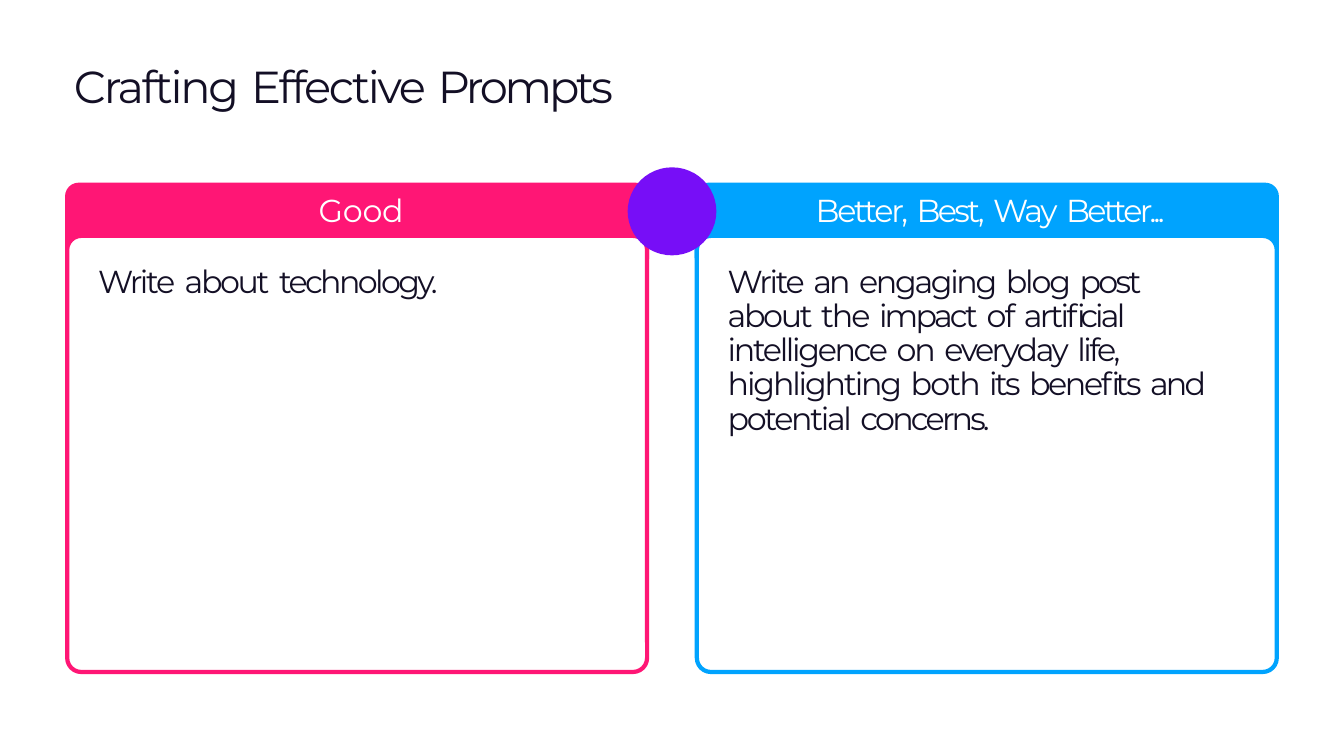
"""Build a slide that compares a good prompt with a better one."""
import pptx
import pptx.dml.color
import pptx.enum.shapes
import pptx.enum.text
import pptx.util

Inches, Pt = pptx.util.Inches, pptx.util.Pt
SHAPE = pptx.enum.shapes.MSO_SHAPE
ALIGN = pptx.enum.text.PP_ALIGN

FONT = "Montserrat"
DARK, WHITE, PURPLE = "130F25", "FFFFFF", "770EF7"
CARD_W, HEAD_TOP, HEAD_H, BODY_TOP, BODY_H = 8.63, 2.75, 1.25, 3.51, 6.49

TITLE = [("Crafting", -2.4), ("Effective", -2.5), ("Prompts", -3.5)]
CARDS = [
    {
        "left": 1, "color": "FF1675", "text_box": (1.45, 2.83, 5.41, 1.65),
        "head": [("Good", -0.2)],
        "head_format": {"margin": 3.29},
        "body": [("Write", -2.5), ("about", -2.5), ("technology.", -2.8)],
        "body_format": {"before": 35.2, "gap": 1.2},
    },
    {
        "left": 10.37, "color": "00A3FE", "text_box": (10.82, 2.83, 7.46, 3.68),
        "head": [("Better,", -2.4), ("Best,", -2.8), ("Way", -2.4), ("Better...", -2.8)],
        "head_format": {"margin": 0.37, "align": ALIGN.CENTER},
        "body": [
            ("Write", -2.5), ("an", -3.1), ("engaging", -2.5), ("blog", -2.3),
            ("post", -2.8), ("about", -2.5), ("the", -2.2), ("impact", -3),
            ("of", -1.9), ("artificial", -2.9), ("intelligence", -2.5), ("on", -2.2),
            ("everyday", -2.6), ("life,", -2.8), ("highlighting", -2.3), ("both", -2),
            ("its", -3), ("benefits", -2.5), ("and", -3), ("potential", -2.5),
            ("concerns.", -3),
        ],
        "body_format": {"before": 39.5, "line": 0.9},
    },
]


def rgb(color):
    return pptx.dml.color.RGBColor.from_string(color)


def add_shape(s, kind, box, fill, line=None, radius=None):
    sp = s.shapes.add_shape(kind, *map(Inches, box))
    sp.shadow.inherit = False
    sp.fill.solid()
    sp.fill.fore_color.rgb = rgb(fill)
    if line:
        sp.line.color.rgb = rgb(line)
        sp.line.width = Pt(4.5)
    else:
        sp.line.fill.background()
    if radius:
        sp.adjustments[0] = radius / min(box[2:])


def add_text_box(s, box):
    tf = s.shapes.add_textbox(*map(Inches, box)).text_frame
    tf.word_wrap = True
    tf.auto_size = pptx.enum.text.MSO_AUTO_SIZE.SHAPE_TO_FIT_TEXT
    tf.margin_left = tf.margin_right = tf.margin_bottom = 0
    tf.margin_top = Inches(0.01)
    return tf


def add_run(p, text, spacing):
    r = p.add_run()
    r.text = text
    r._r.get_or_add_rPr().set("spc", str(round(spacing * 100)))


def write(p, words, size, color, margin=0.01, before=None, line=None, align=ALIGN.LEFT, gap=0.2):
    p._p.get_or_add_pPr().set("marL", str(Inches(margin)))
    p.alignment = align
    if before:
        p.space_before = Pt(before)
    if line:
        p.line_spacing = line
    p.font.name, p.font.size = FONT, Pt(size)
    p.font.color.rgb = rgb(color)
    for i, (word, spacing) in enumerate(words):
        if i:
            add_run(p, " ", gap)
        add_run(p, word, spacing)


def main():
    prs = pptx.Presentation()
    prs.slide_width, prs.slide_height = Inches(20), Inches(11.25)
    s = prs.slides.add_slide(prs.slide_layouts[6])

    write(add_text_box(s, (1.09, 0.86, 13.59, 0.83)).paragraphs[0], TITLE, 48, DARK)
    for card in CARDS:
        left, color = card["left"], card["color"]
        add_shape(s, SHAPE.ROUNDED_RECTANGLE, (left, HEAD_TOP, CARD_W, HEAD_H), color, color, 0.17)
        add_shape(s, SHAPE.ROUNDED_RECTANGLE, (left, BODY_TOP, CARD_W, BODY_H), WHITE, color, 0.21)
        tf = add_text_box(s, card["text_box"])
        write(tf.paragraphs[0], card["head"], 34, WHITE, **card["head_format"])
        write(tf.add_paragraph(), card["body"], 34, DARK, **card["body_format"])
    add_shape(s, SHAPE.OVAL, (9.34, 2.49, 1.32, 1.31), PURPLE)

    prs.save("out.pptx")


if __name__ == "__main__":
    main()
